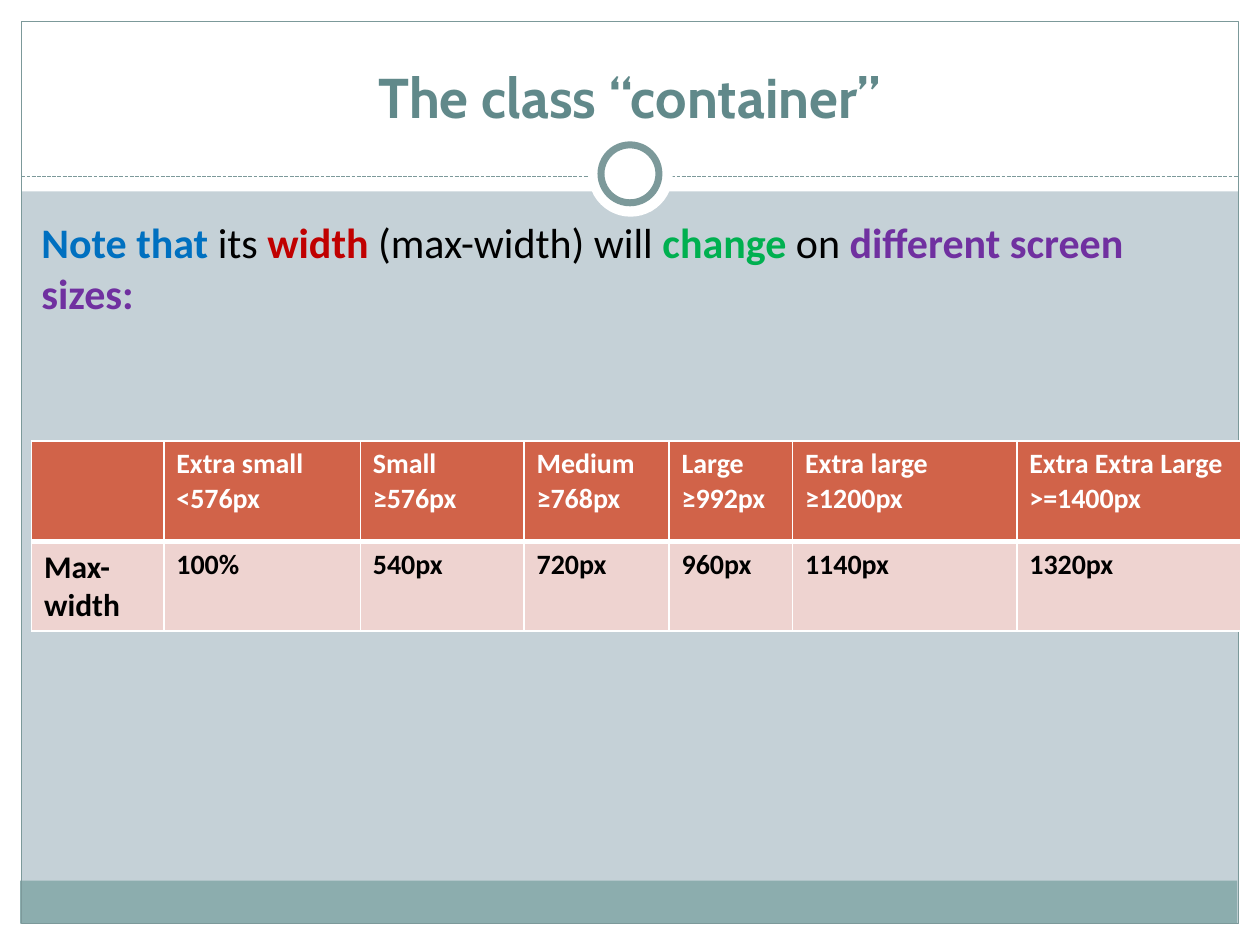
from lxml.etree import SubElement
from pptx import Presentation
from pptx.dml.color import RGBColor
from pptx.enum.dml import MSO_LINE
from pptx.enum.shapes import MSO_CONNECTOR, MSO_SHAPE
from pptx.enum.text import MSO_ANCHOR, PP_ALIGN
from pptx.oxml.ns import qn
from pptx.util import Inches, Pt

WHITE = RGBColor(0xFF, 0xFF, 0xFF)
BLACK = RGBColor(0x00, 0x00, 0x00)
PALE_BLUE = RGBColor(0xC5, 0xD1, 0xD7)
TEAL = RGBColor(0x8C, 0xAD, 0xAE)
FRAME = RGBColor(0x7C, 0x99, 0x9A)
TITLE = RGBColor(0x61, 0x89, 0x8A)
ORANGE = RGBColor(0xD1, 0x63, 0x49)
PINK = RGBColor(0xEE, 0xD3, 0xD0)
BLUE = RGBColor(0x00, 0x70, 0xC0)
RED = RGBColor(0xC0, 0x00, 0x00)
GREEN = RGBColor(0x00, 0xB0, 0x50)
PURPLE = RGBColor(0x70, 0x30, 0xA0)


def add_run(paragraph, text, size, color, bold=True, font="Calibri"):
    run = paragraph.add_run()
    run.text = text
    run.font.size = Pt(size)
    run.font.name = font
    run.font.bold = bold
    run.font.color.rgb = color


def add_border(cell, side, width):
    """Draw a white border on one side (L, R, T or B); call before filling the cell."""
    border = SubElement(cell._tc.get_or_add_tcPr(), qn(f"a:ln{side}"), w=str(Pt(width)))
    fill = SubElement(border, qn("a:solidFill"))
    SubElement(fill, qn("a:srgbClr"), val=str(WHITE))


prs = Presentation()
prs.slide_width, prs.slide_height = Inches(10), Inches(7.5)
slide = prs.slides.add_slide(prs.slide_layouts[6])
shapes = slide.shapes
slide.background.fill.solid()
slide.background.fill.fore_color.rgb = PALE_BLUE

# White margins, footer band and frame
RECT, OVAL = MSO_SHAPE.RECTANGLE, MSO_SHAPE.OVAL
backdrop = [
    (RECT, (0, 7.33, 10, 0.17), WHITE, None),
    (RECT, (0, 0, 10, 1.52), WHITE, None),
    (RECT, (0, 0, 0.17, 7.5), WHITE, None),
    (RECT, (9.83, 0, 0.17, 7.5), WHITE, None),
    (RECT, (0.16, 6.99, 9.66, 0.34), TEAL, None),
    (RECT, (0.17, 0.17, 9.66, 7.16), None, 0.75),
    (OVAL, (4.67, 1.05, 0.67, 0.67), WHITE, None),
    (OVAL, (4.77, 1.15, 0.46, 0.46), WHITE, 4),
]
for kind, box, fill, line_width in backdrop:
    if box[0] == 4.67:  # the divider runs behind the ring
        divider = shapes.add_connector(
            MSO_CONNECTOR.STRAIGHT, Inches(0.17), Inches(1.4), Inches(9.83), Inches(1.4))
        divider.line.color.rgb = FRAME
        divider.line.width = Pt(0.75)
        divider.line.dash_style = MSO_LINE.SQUARE_DOT
        SubElement(divider._element.spPr, qn("a:effectLst"))
    part = shapes.add_shape(kind, *map(Inches, box))
    part.shadow.inherit = False
    if fill is None:
        part.fill.background()
    else:
        part.fill.solid()
        part.fill.fore_color.rgb = fill
    if line_width is None:
        part.line.fill.background()
    else:
        part.line.color.rgb = FRAME
        part.line.width = Pt(line_width)

title = shapes.add_textbox(Inches(0.33), Inches(0.25), Inches(9.33), Inches(0.83)).text_frame
title.word_wrap = True
title.vertical_anchor = MSO_ANCHOR.BOTTOM
title.paragraphs[0].alignment = PP_ALIGN.CENTER
add_run(title.paragraphs[0], "The class “container”", 32, TITLE, font="Cabin")

# Breakpoint table
columns = [
    (1.05, [], "Max-width"),
    (1.56, ["Extra small", "<576px"], "100%"),
    (1.3, ["Small", "≥576px"], "540px"),
    (1.15, ["Medium", "≥768px"], "720px"),
    (0.98, ["Large", "≥992px"], "960px"),
    (1.78, ["Extra large", "≥1200px"], "1140px"),
    (1.78, ["Extra Extra Large >=1400px"], "1320px"),
]
table = shapes.add_table(
    2, len(columns), Inches(0.25), Inches(3.5), Inches(9.6), Inches(1.51)).table
table.rows[0].height, table.rows[1].height = Inches(0.8), Inches(0.71)
for col, (width, heading, max_width) in enumerate(columns):
    table.columns[col].width = Inches(width)
    for row, lines in enumerate([heading, [max_width]]):
        cell = table.cell(row, col)
        for side in "LRTB":
            under_header = (row, side) in [(0, "B"), (1, "T")]
            add_border(cell, side, 3 if under_header else 1)
        cell.fill.solid()
        cell.fill.fore_color.rgb = PINK if row else ORANGE
        for i, text in enumerate(lines):
            frame = cell.text_frame
            paragraph = frame.add_paragraph() if i else frame.paragraphs[0]
            add_run(paragraph, text, 16 if col else 18, BLACK if row else WHITE)

note = shapes.add_textbox(Inches(0.23), Inches(1.67), Inches(9.02), Inches(0.91)).text_frame
note.word_wrap = True
for text, color in [
    ("Note that ", BLUE),
    ("its ", BLACK),
    ("width", RED),
    (" (max-width) will ", BLACK),
    ("change", GREEN),
    (" on ", BLACK),
    ("different screen sizes:", PURPLE),
]:
    add_run(note.paragraphs[0], text, 24, color, bold=color != BLACK)

prs.save("out.pptx")
